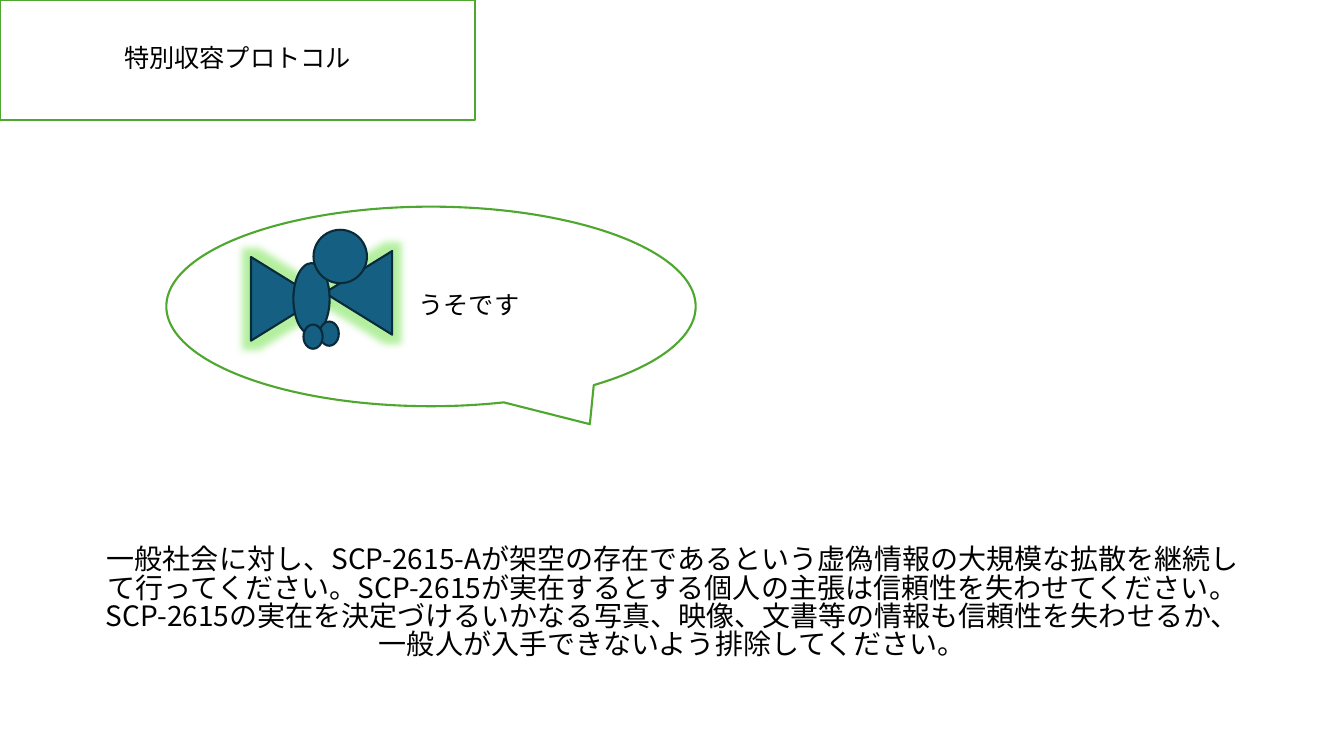
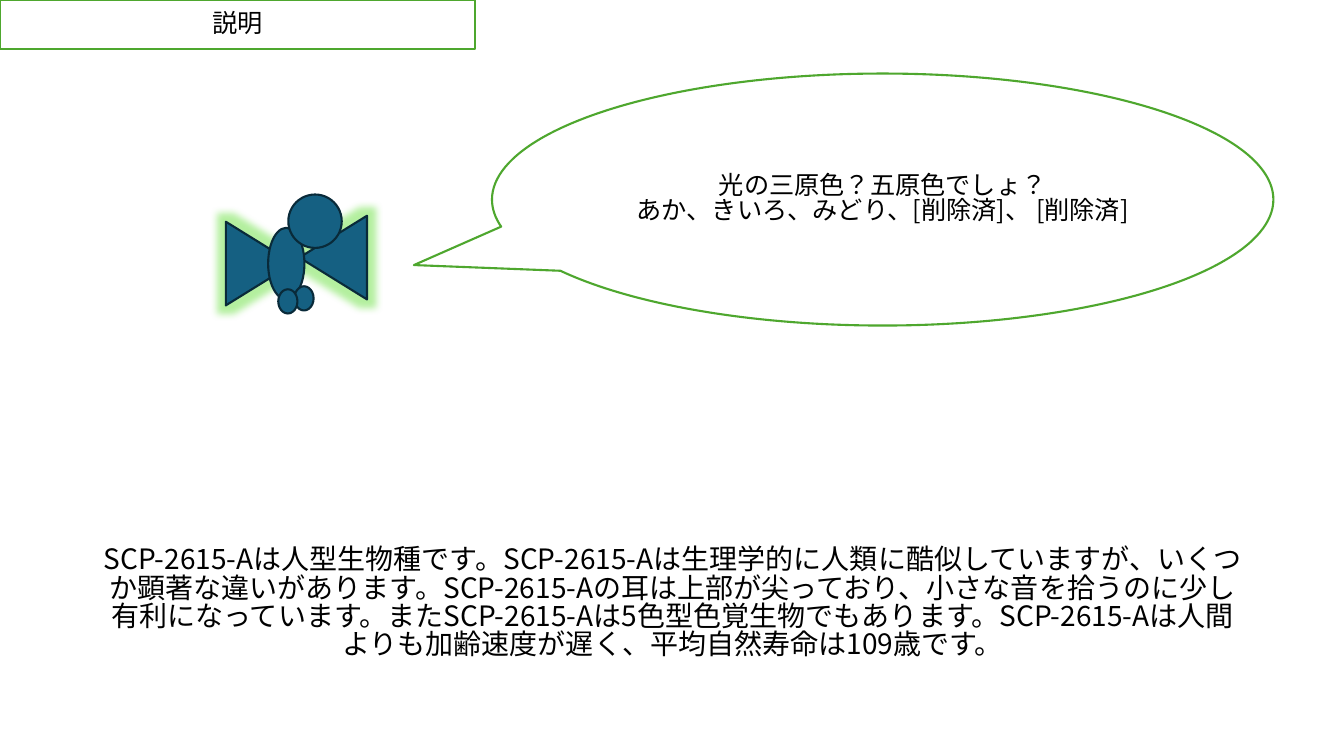
from lxml import etree
from pptx import Presentation
from pptx.dml.color import RGBColor
from pptx.enum.lang import MSO_LANGUAGE_ID
from pptx.enum.shapes import MSO_SHAPE
from pptx.enum.text import MSO_ANCHOR, PP_ALIGN
from pptx.oxml.ns import qn
from pptx.util import Inches, Pt

RECT = MSO_SHAPE.RECTANGLE
OVAL = MSO_SHAPE.OVAL
TRIANGLE = MSO_SHAPE.ISOSCELES_TRIANGLE
CALLOUT = MSO_SHAPE.OVAL_CALLOUT
CENTER = PP_ALIGN.CENTER
MIDDLE = MSO_ANCHOR.MIDDLE
JAPANESE = MSO_LANGUAGE_ID.JAPANESE

BLACK = RGBColor(0x00, 0x00, 0x00)
WHITE = RGBColor(0xFF, 0xFF, 0xFF)
GREEN = RGBColor(0x4E, 0xA7, 0x2E)
BLUE = RGBColor(0x15, 0x60, 0x82)
NAVY = RGBColor(0x09, 0x2A, 0x39)
GLOW = RGBColor(0x43, 0xD9, 0x0F)
FONT = "Noto Sans CJK JP"

WINGS = [(0, 0.35, 90), (0.73, 0.29, 270)]
OVALS = [(0.5, 0.33, 0.36, 0.71), (0.7, 0, 0.53, 0.53),
         (0.76, 0.91, 0.19, 0.24), (0.6, 0.94, 0.19, 0.24)]


def write(tf, *lines, size=18, color=BLACK, spacing=0.84):
    tf.word_wrap = True
    tf.vertical_anchor = MIDDLE
    for i, line in enumerate(lines):
        p = tf.add_paragraph() if i else tf.paragraphs[0]
        p.alignment = CENTER
        p.line_spacing = spacing
        r = p.add_run()
        r.text = line
        r.font.name = FONT
        r.font.size = Pt(size)
        r.font.color.rgb = color
        r.font.language_id = JAPANESE
        etree.SubElement(r.font._element, qn("a:ea"), typeface=FONT)


def add_glow(sp, radius=Pt(11), alpha=40):
    effects = sp._element.spPr.find(qn("a:effectLst"))
    glow = etree.SubElement(effects, qn("a:glow"), rad=str(int(radius)))
    color = etree.SubElement(glow, qn("a:srgbClr"), val=str(GLOW))
    etree.SubElement(color, qn("a:alpha"), val=str(alpha * 1000))


class Deck:
    """Hold the presentation, its shared style and the current slide."""

    def __init__(self):
        self.prs = Presentation()
        self.prs.slide_width = Inches(13.33)
        self.prs.slide_height = Inches(7.5)

    def new_slide(self):
        self.s = self.prs.slides.add_slide(self.prs.slide_layouts[6])

    def shape(self, parent, kind, x, y, w, h, fill=WHITE, line=GREEN):
        sp = parent.shapes.add_shape(kind, Inches(x), Inches(y), Inches(w), Inches(h))
        sp.shadow.inherit = False
        sp.fill.solid()
        sp.fill.fore_color.rgb = fill
        sp.line.color.rgb = line
        sp.line.width = Pt(1.5)
        return sp

    def title(self, text, height):
        sp = self.shape(self.s, RECT, 0, 0, 4.71, height)
        write(sp.text_frame, text)

    def body(self, text):
        sp = self.s.shapes.add_textbox(Inches(0.87), Inches(5.22), Inches(11.6), Inches(1.54))
        write(sp.text_frame, text, size=20)

    def callout(self, x, y, w, h, tail, *lines, indent=0.1):
        sp = self.shape(self.s, CALLOUT, x, y, w, h)
        sp.adjustments[0], sp.adjustments[1] = tail
        sp.text_frame.margin_left = Inches(indent)
        write(sp.text_frame, *lines)

    def fairy(self, x, y):
        group = self.s.shapes.add_group_shape()
        for dx, dy, angle in WINGS:
            sp = self.shape(group, TRIANGLE, x + dx, y + dy, 0.83, 0.67, BLUE, NAVY)
            sp.rotation = angle
            add_glow(sp)
        for dx, dy, w, h in OVALS:
            self.shape(group, OVAL, x + dx, y + dy, w, h, BLUE, NAVY)


def main():
    deck = Deck()

    deck.new_slide()
    deck.callout(1.65, 2.05, 5.25, 1.98, (0.3, 0.59), "うそです", indent=0.85)
    deck.body("一般社会に対し、SCP-2615-Aが架空の存在であるという虚偽情報の大規模な拡散を"
              "継続して行ってください。SCP-2615が実在するとする個人の主張は信頼性を"
              "失わせてください。SCP-2615の実在を決定づけるいかなる写真、映像、文書等の"
              "情報も信頼性を失わせるか、一般人が入手できないよう排除してください。")
    deck.title("特別収容プロトコル", 1.19)
    deck.fairy(2.41, 2.28)

    deck.new_slide()
    deck.body("SCP-2615-Aは人型生物種です。SCP-2615-Aは生理学的に人類に酷似していますが、"
              "いくつか顕著な違いがあります。SCP-2615-Aの耳は上部が尖っており、小さな音を"
              "拾うのに少し有利になっています。またSCP-2615-Aは5色型色覚生物でもあります。"
              "SCP-2615-Aは人間よりも加齢速度が遅く、平均自然寿命は109歳です。")
    deck.fairy(2.16, 1.93)
    deck.callout(4.88, 0.73, 7.75, 2.5, (-0.6, 0.26),
                 "光の三原色？五原色でしょ？", "あか、きいろ、みどり、[削除済]、 [削除済]")
    deck.title("説明", 0.49)

    deck.prs.save("out.pptx")


if __name__ == "__main__":
    main()
